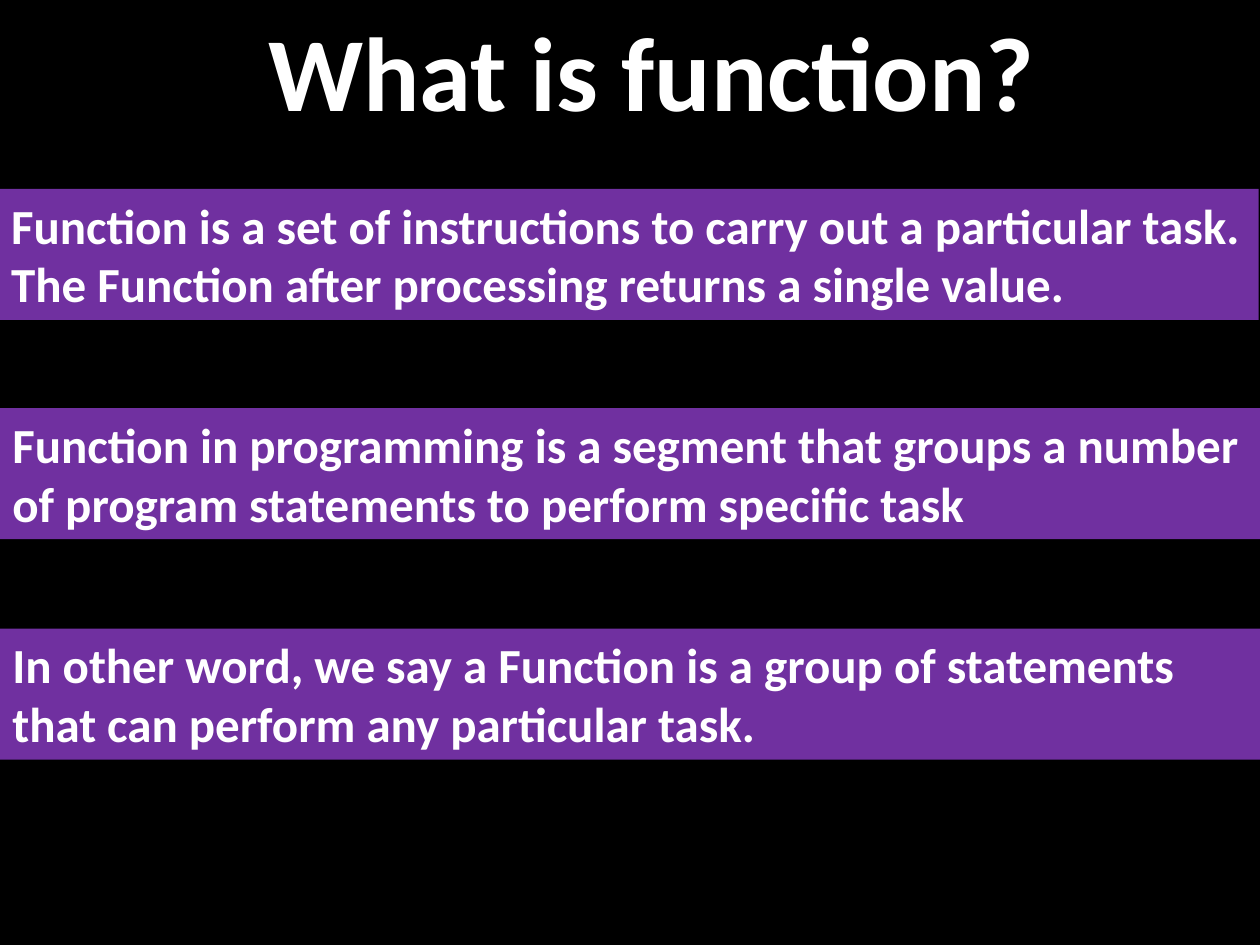
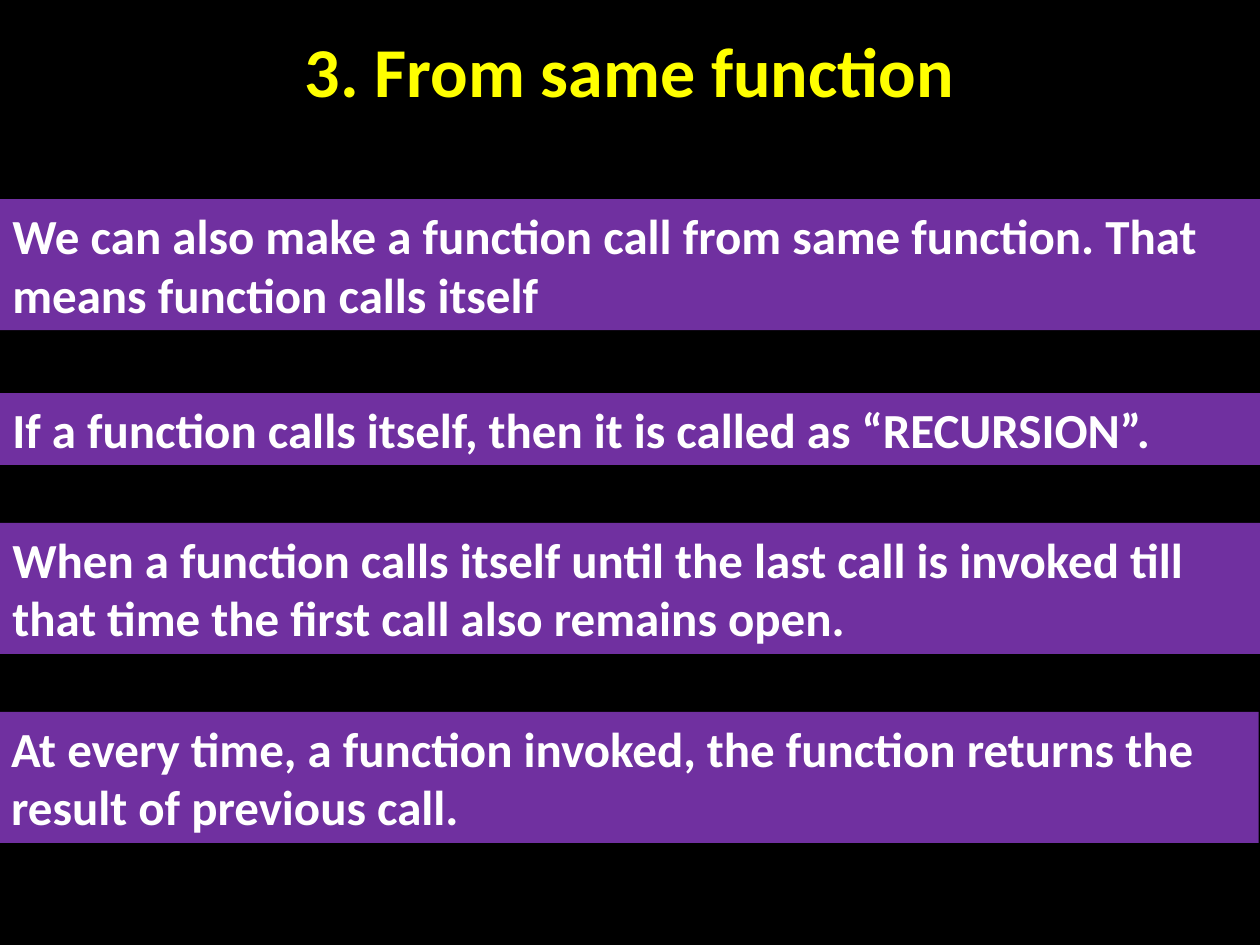
from dataclasses import dataclass

from pptx import Presentation
from pptx.dml.color import RGBColor
from pptx.enum import shapes, text
from pptx.util import Inches, Pt


@dataclass(frozen=True)
class Theme:
    font: str = "Calibri"
    background: RGBColor = RGBColor(0, 0, 0)
    band: RGBColor = RGBColor(0x70, 0x30, 0xA0)
    white: RGBColor = RGBColor(0xFF, 0xFF, 0xFF)
    yellow: RGBColor = RGBColor(0xFF, 0xFF, 0)
    large_title: int = 60
    small_title: int = 40
    body: int = 28


THEME = Theme()
PAGE_WIDTH = 10
BAND_HEIGHTS = {1: 0.57, 2: 1.04}  # by number of text lines


def add_page(deck):
    page = deck.slides.add_slide(deck.slide_layouts[6])
    page.background.fill.solid()
    page.background.fill.fore_color.rgb = THEME.background
    return page


def write(box, words, size, color, wrap):
    frame = box.text_frame
    frame.text = words
    frame.word_wrap = wrap
    frame.auto_size = text.MSO_AUTO_SIZE.SHAPE_TO_FIT_TEXT
    frame.vertical_anchor = text.MSO_ANCHOR.TOP
    para = frame.paragraphs[0]
    para.alignment = text.PP_ALIGN.LEFT
    font = para.runs[0].font
    font.name = THEME.font
    font.size = Pt(size)
    font.bold = True
    font.color.rgb = color


def add_title(page, words, left, top, width, height, size, color):
    box = page.shapes.add_textbox(
        Inches(left), Inches(top), Inches(width), Inches(height))
    write(box, words, size, color, wrap=False)


def add_band(page, words, top, lines=2, left=0):
    """Purple strip across the page, holding one statement."""
    band = page.shapes.add_shape(
        shapes.MSO_SHAPE.RECTANGLE, Inches(left), Inches(top),
        Inches(PAGE_WIDTH), Inches(BAND_HEIGHTS[lines]))
    band.shadow.inherit = False
    band.fill.solid()
    band.fill.fore_color.rgb = THEME.band
    band.line.fill.background()
    write(band, words, THEME.body, THEME.white, wrap=True)


def build_definition(deck):
    page = add_page(deck)
    add_title(page, "What is function?", 2.03, 0, 6.29, 1.1,
              THEME.large_title, THEME.white)
    add_band(page, "Function is a set of instructions to carry out a particular "
             "task. The Function after processing returns a single value.",
             1.5, left=-0.01)
    add_band(page, "Function in programming is a segment that groups a number "
             "of program statements to perform specific task", 3.24)
    add_band(page, "In other word, we say a Function is a group of statements "
             "that can perform any particular task.", 4.99)


def build_recursion(deck):
    page = add_page(deck)
    add_title(page, "3. From same function", 2.32, 0.17, 5.36, 0.77,
              THEME.small_title, THEME.yellow)
    add_band(page, "We can also make a function call from same function. "
             "That means function calls itself", 1.58)
    add_band(page, "If a function calls itself, then it is called as "
             "“RECURSION”.", 3.12, lines=1)
    add_band(page, "When a function calls itself until the last call is invoked "
             "till that time the first call also remains open.", 4.15)
    add_band(page, "At every time, a function invoked, the function returns "
             "the result of previous call.", 5.65, left=-0.01)


def main():
    deck = Presentation()
    deck.slide_width = Inches(PAGE_WIDTH)
    deck.slide_height = Inches(7.5)
    build_definition(deck)
    build_recursion(deck)
    deck.save("out.pptx")


if __name__ == "__main__":
    main()
